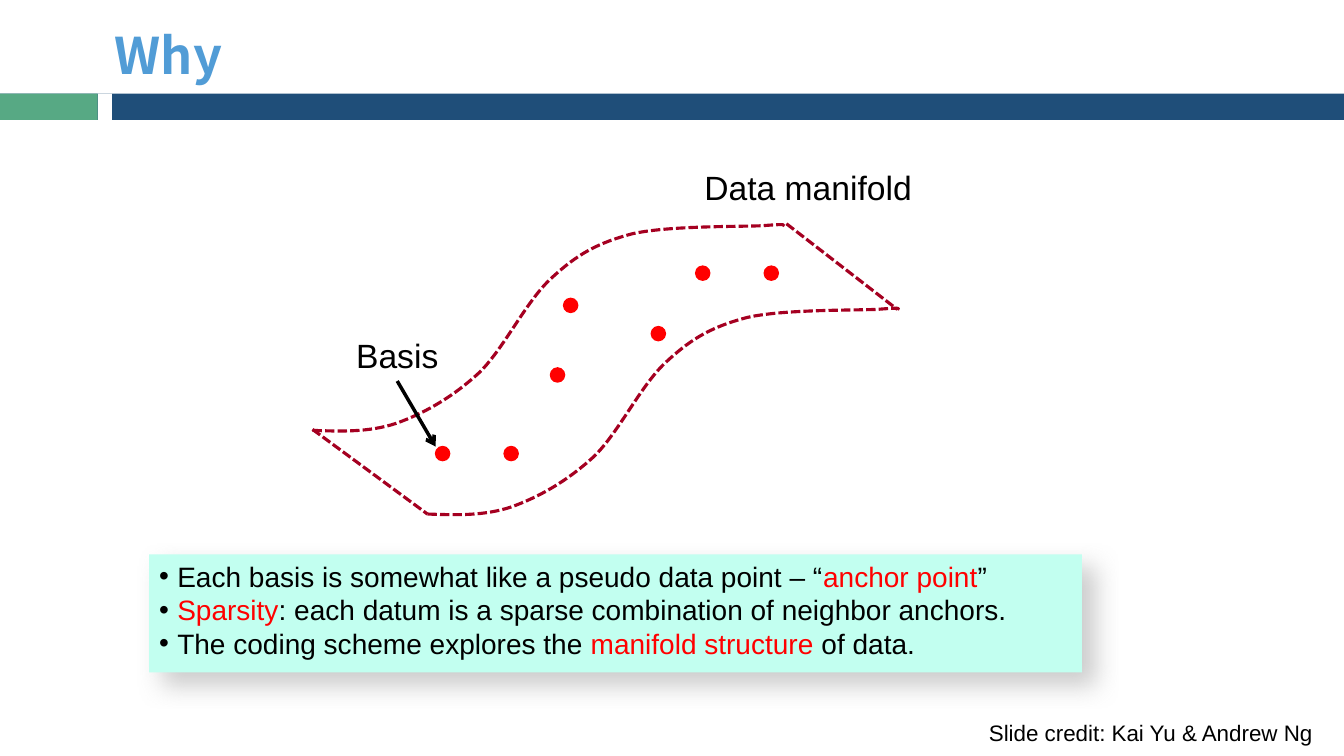
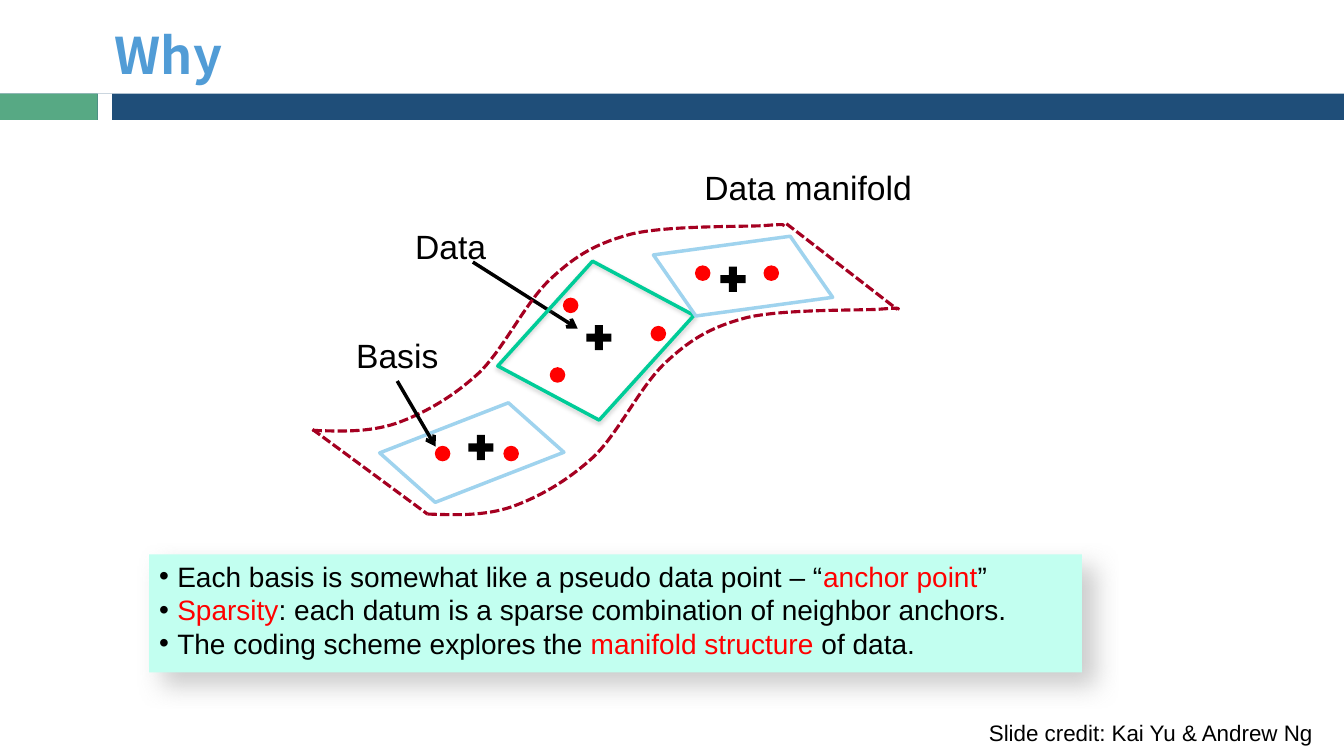
from pptx import Presentation
from pptx.dml.color import RGBColor
from pptx.enum.dml import MSO_LINE
from pptx.enum.shapes import MSO_CONNECTOR, MSO_SHAPE
from pptx.enum.text import MSO_ANCHOR, PP_ALIGN
from pptx.oxml.ns import qn
from pptx.util import Pt
from lxml.etree import SubElement

PX = 9144
WIDTH, HEIGHT = 1333, 750

BLACK = RGBColor(0x00, 0x00, 0x00)
WHITE = RGBColor(0xFF, 0xFF, 0xFF)
RED = RGBColor(0xFF, 0x00, 0x00)
NAVY = RGBColor(0x1F, 0x4E, 0x79)
GREEN = RGBColor(0x57, 0xA9, 0x84)
SKY = RGBColor(0x51, 0x9C, 0xD6)
CRIMSON = RGBColor(0xA5, 0x00, 0x21)
MINT = RGBColor(0xC2, 0xFF, 0xF0)
TEAL = RGBColor(0x00, 0xCC, 0x98)
PALE_BLUE = RGBColor(0x9F, 0xD3, 0xEE)
GRAY = RGBColor(0x80, 0x80, 0x80)

TITLE = {"name": "Noto Sans CJK SC", "size": Pt(36), "bold": True}
LABEL = {"name": "Arial", "size": Pt(24)}
NOTE = {"name": "Arial", "size": Pt(20)}
CREDIT = {"name": "Arial", "size": Pt(16)}
DASHED = {"width": Pt(2.25), "dash_style": MSO_LINE.SQUARE_DOT}
SOLID = {"width": Pt(2.5)}
THIN = {"width": Pt(1)}

BANDS = [(0, WIDTH, NAVY), (97, 14, WHITE), (0, 97, GREEN)]
EDGE = [
    (310, 427),
    (338, 428), (366, 429), (393, 420),
    (421, 410), (449, 394), (475, 370),
    (500, 346), (522, 298), (548, 275),
    (573, 252), (593, 241), (627, 232),
    (662, 224), (731, 225), (756, 224),
    (780, 222), (778, 223), (776, 224),
]
EDGE_OFFSETS = [(0, 0), (114, 83)]
MANIFOLD_ENDS = [((310, 426), (424, 510)), ((780, 222), (890, 307))]
ANCHORS = [(546, 365), (559, 296), (646, 324), (500, 443),
           (758, 264), (690, 264), (432, 443)]
DATA_POINTS = [(460, 427), (577, 318), (710, 260)]
PATCHES = [
    ((517, 270, 148, 136), 28.1, 0.25, TEAL, (35, 3.1, 1.8, 90)),
    ((669, 213, 136, 122), 55.2, 0.51, PALE_BLUE, None),
    ((400, 388, 136, 122), 41.7, 0.51, PALE_BLUE, None),
]
NOTES = [
    [("Each basis is somewhat like a pseudo data point – “", BLACK),
     ("anchor point", RED), ("”", BLACK)],
    [("Sparsity", RED),
     (": each datum is a sparse combination of neighbor anchors.", BLACK)],
    [("The coding scheme explores the ", BLACK),
     ("manifold structure ", RED), ("of data.", BLACK)],
]


def apply(target, values):
    for key, value in values.items():
        setattr(target, key, value)


class Deck:
    def __init__(self):
        self.presentation = Presentation()
        apply(self.presentation, {"slide_width": WIDTH * PX,
                                  "slide_height": HEIGHT * PX})
        self.slide = None

    def start(self, title):
        layout = self.presentation.slide_layouts[6]
        self.slide = self.presentation.slides.add_slide(layout)
        self.text((104, 18, 658, 71), title, TITLE, SKY, anchor=MSO_ANCHOR.MIDDLE)
        for left, width, color in BANDS:
            self.shape(MSO_SHAPE.RECTANGLE, (left, 93, width, 26), color)
        self.text((971, 709, 353, 37), "Slide credit: Kai Yu & Andrew Ng", CREDIT)

    def outline(self, line, color, style):
        line.color.rgb = color
        apply(line, style)

    def paint(self, shape, fill=None, color=None, style=SOLID):
        shape.shadow.inherit = False
        if fill is None:
            shape.fill.background()
        else:
            shape.fill.solid()
            shape.fill.fore_color.rgb = fill
        if color is None:
            shape.line.fill.background()
        else:
            self.outline(shape.line, color, style)

    def shape(self, kind, box, fill=None, color=None, style=SOLID):
        shape = self.slide.shapes.add_shape(kind, *(v * PX for v in box))
        self.paint(shape, fill, color, style)
        return shape

    def shadow(self, shape, opacity, blur, distance, angle):
        effects = shape._element.spPr.find(qn("a:effectLst"))
        outer = SubElement(effects, qn("a:outerShdw"), blurRad=str(Pt(blur)),
                           dist=str(Pt(distance)), dir=str(angle * 60000),
                           algn="tl", rotWithShape="0")
        tint = SubElement(outer, qn("a:srgbClr"), val=str(GRAY))
        SubElement(tint, qn("a:alpha"), val=str(opacity * 1000))

    def text(self, box, words, font, color=BLACK, align=PP_ALIGN.LEFT,
             anchor=MSO_ANCHOR.TOP):
        frame = self.slide.shapes.add_textbox(*(v * PX for v in box)).text_frame
        apply(frame, {"word_wrap": True, "vertical_anchor": anchor})
        paragraph = frame.paragraphs[0]
        paragraph.alignment = align
        self.run(paragraph, words, font, color)

    def run(self, paragraph, words, font, color):
        run = paragraph.add_run()
        run.text = words
        apply(run.font, font)
        run.font.color.rgb = color

    def line(self, begin, end, color, style, arrow=False):
        line = self.slide.shapes.add_connector(
            MSO_CONNECTOR.STRAIGHT, *(v * PX for v in begin + end))
        self.outline(line.line, color, style)
        if arrow:
            SubElement(line.line._get_or_add_ln(), qn("a:tailEnd"), type="arrow")
        SubElement(line._element.spPr, qn("a:effectLst"))

    def curve(self, points, color, style):
        start, *controls = [(x * PX, y * PX) for x, y in points]
        builder = self.slide.shapes.build_freeform(*start)
        builder.add_line_segments(controls, close=False)
        curve = builder.convert_to_shape()
        segments = list(curve._element.iter(qn("a:lnTo")))
        outline = segments[0].getparent()
        for index in range(0, len(segments), 3):
            bezier = SubElement(outline, qn("a:cubicBezTo"))
            for segment in segments[index:index + 3]:
                bezier.append(segment[0])
                outline.remove(segment)
        self.paint(curve, None, color, style)

    def patch(self, box, rotation, slant, color, shadow):
        patch = self.shape(MSO_SHAPE.PARALLELOGRAM, box, None, color)
        patch.rotation = rotation
        patch.adjustments[0] = slant
        if shadow:
            self.shadow(patch, *shadow)

    def bullets(self, box, items):
        panel = self.shape(MSO_SHAPE.RECTANGLE, box, MINT)
        self.shadow(panel, 40, 18, 12, 44)
        frame = panel.text_frame
        apply(frame, {"word_wrap": True, "vertical_anchor": MSO_ANCHOR.TOP})
        for index, runs in enumerate(items):
            paragraph = frame.add_paragraph() if index else frame.paragraphs[0]
            paragraph.alignment = PP_ALIGN.LEFT
            properties = paragraph._p.get_or_add_pPr()
            properties.set("marL", str(18 * PX))
            properties.set("indent", str(-18 * PX))
            tint = SubElement(properties, qn("a:buClr"))
            SubElement(tint, qn("a:srgbClr"), val=str(BLACK))
            SubElement(properties, qn("a:buFont"), typeface="Arial")
            SubElement(properties, qn("a:buChar"), char="•")
            for words, color in runs:
                self.run(paragraph, words, NOTE, color)


def add_data(deck):
    for left, top in DATA_POINTS:
        deck.shape(MSO_SHAPE.MATH_PLUS, (left, top, 34, 34), BLACK)
    deck.text((402, 219, 133, 50), "Data", LABEL)
    deck.line((469, 260), (573, 326), BLACK, SOLID, arrow=True)


def add_manifold(deck):
    for begin, end in MANIFOLD_ENDS:
        deck.line(begin, end, CRIMSON, DASHED)
    for dx, dy in EDGE_OFFSETS:
        deck.curve([(x + dx, y + dy) for x, y in EDGE], CRIMSON, DASHED)


def add_basis(deck):
    for left, top in ANCHORS:
        deck.shape(MSO_SHAPE.OVAL, (left, top, 14, 14), RED, RED, THIN)
    deck.text((319, 327, 150, 51), "Basis", LABEL, align=PP_ALIGN.CENTER)
    deck.line((394, 378), (432, 443), BLACK, SOLID, arrow=True)


def add_why(deck, with_data):
    deck.start("Why")
    deck.text((668, 161, 267, 51), "Data manifold", LABEL, align=PP_ALIGN.CENTER)
    if with_data:
        add_data(deck)
    add_manifold(deck)
    if with_data:
        for patch in PATCHES:
            deck.patch(*patch)
    add_basis(deck)
    deck.bullets((148, 550, 925, 117), NOTES)


def main():
    deck = Deck()
    for with_data in (False, True):
        add_why(deck, with_data)
    deck.presentation.save("out.pptx")


if __name__ == "__main__":
    main()
